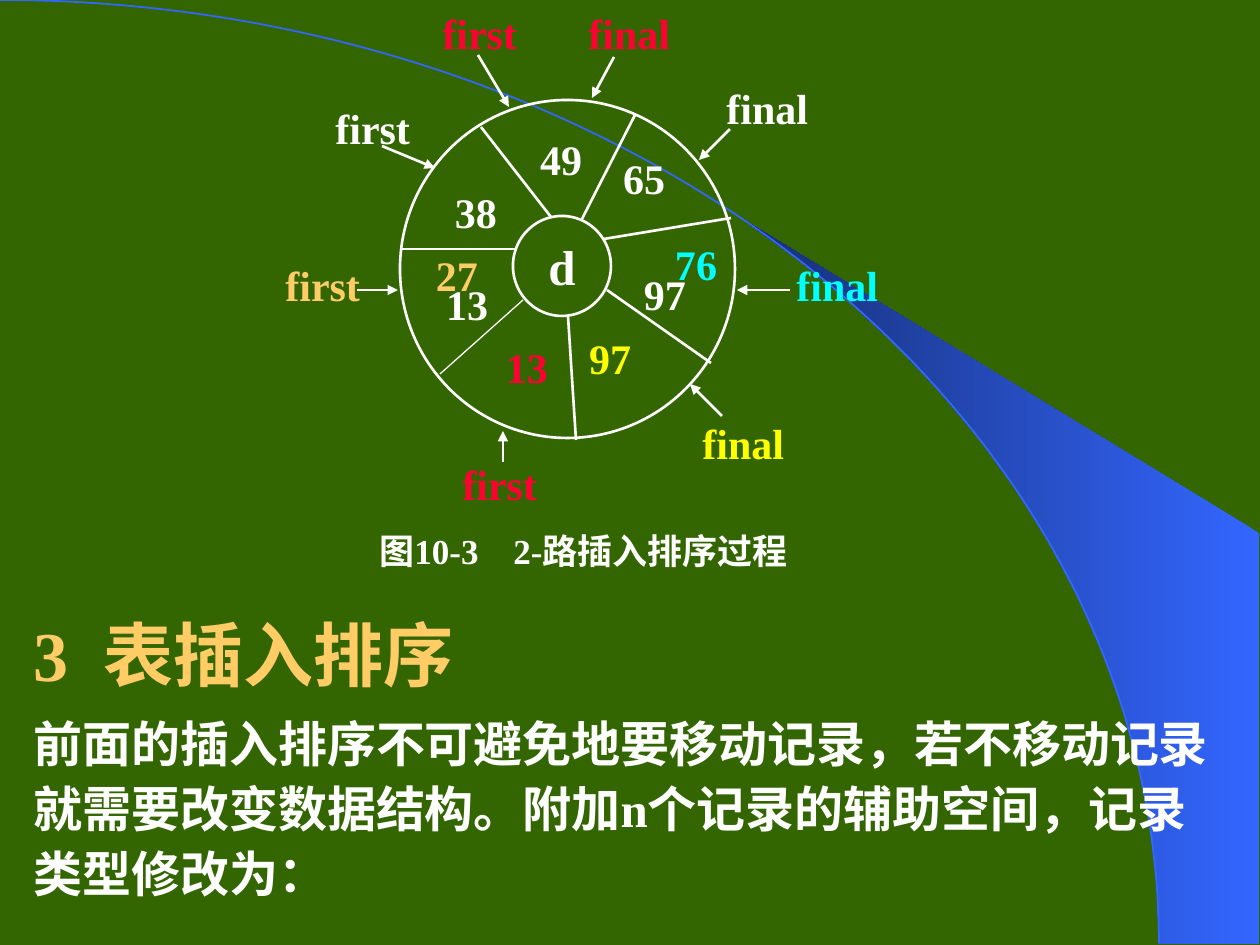
import math
import pptx
import pptx.util
import pptx.dml.color
import pptx.enum.shapes
import pptx.enum.text
import pptx.oxml
import pptx.oxml.ns

SCALE = 914400 / 126
FONT = "Times New Roman"
INK = {
    "green": "336600", "blue": "3366FF", "navy": "172F75", "white": "FFFFFF",
    "gold": "FFCC66", "cyan": "00FFFF", "red": "FF0033", "yellow": "FFFF00",
}
KEYS = [
    ("27", 430, 248, "gold"), ("76", 669, 237, "cyan"), ("49", 534, 132, "white"),
    ("65", 617, 151, "white"), ("38", 449, 185, "white"), ("97", 638, 267, "white"),
    ("97", 583, 331, "yellow"), ("13", 440, 277, "white"), ("13", 500, 340, "red"),
]
MARKS = [
    ("first", 430, 6, "red"), ("first", 323, 101, "white"), ("first", 450, 457, "red"),
    ("first", 273, 258, "gold"), ("final", 784, 258, "cyan"), ("final", 576, 6, "red"),
    ("final", 714, 81, "white"), ("final", 690, 416, "yellow"),
]
SPOKES = [
    (481, 127, 551, 217), (635, 115, 582, 219), (604, 239, 731, 218),
    (607, 290, 711, 363), (568, 316, 576, 440), (517, 249, 402, 249),
]
ARROWS = [
    (478, 55, 509, 107), (614, 57, 592, 98), (382, 146, 435, 168),
    (730, 129, 699, 160), (790, 290, 737, 290), (722, 416, 690, 384),
    (357, 290, 398, 290), (503, 462, 503, 431),
]


def px(num):
    return round(num * SCALE)


def rgb(name):
    return pptx.dml.color.RGBColor.from_string(INK[name])


def add_xml(node, tag, **attrs):
    item = pptx.oxml.parse_xml(f"<a:{tag} {pptx.oxml.ns.nsdecls('a')}/>")
    for key, val in attrs.items():
        item.set(key, str(val))
    node.append(item)
    return item


def add_run(para, text, size, tint):
    run = para.add_run()
    run.text = text
    run.font.name = FONT
    run.font.size = pptx.util.Pt(size)
    run.font.bold = True
    run.font.color.rgb = rgb(tint)
    return run


def add_tab(para, pos):
    tabs = add_xml(para._p.get_or_add_pPr(), "tabLst")
    add_xml(tabs, "tab", pos=px(pos), algn="l")


def center(frame):
    frame.word_wrap = False
    frame.vertical_anchor = pptx.enum.text.MSO_ANCHOR.MIDDLE
    para = frame.paragraphs[0]
    para.alignment = pptx.enum.text.PP_ALIGN.CENTER
    return para


def add_label(slide, text, left, top, width, size, tint, tab=None):
    box = slide.shapes.add_textbox(px(left), px(top), px(width), px(54))
    frame = box.text_frame
    para = center(frame)
    frame.margin_right = 0
    if text.isdigit():
        frame.margin_left = 0
    else:
        para.alignment = pptx.enum.text.PP_ALIGN.LEFT
    if tab:
        add_tab(para, tab)
    add_run(para, text, size, tint)


def add_round(slide, kind, area, tint, width):
    form = slide.shapes.add_shape(kind, *map(px, area))
    form.shadow.inherit = False
    form.fill.background()
    form.line.color.rgb = rgb(tint)
    form.line.width = pptx.util.Pt(width)
    return form


def add_line(slide, ends, width=1.5, arrow=False):
    kind = pptx.enum.shapes.MSO_CONNECTOR.STRAIGHT
    line = slide.shapes.add_connector(kind, *map(px, ends))
    line.line.color.rgb = rgb("white")
    line.line.width = pptx.util.Pt(width)
    if arrow:
        add_xml(line.line._get_or_add_ln(), "tailEnd", type="triangle")
    add_xml(line._element.spPr, "effectLst")


def add_wedge(slide):
    start, steps = math.asin(0.64), 14
    turns = [start + (math.pi / 2 - start) * i / steps for i in range(steps + 1)]
    edge = [(1159 * math.sin(t), 944 * (1 - math.cos(t))) for t in turns]
    spots = [(px(x), px(y)) for x, y in edge + [(1259, 944), (1259, 533)]]
    pen = slide.shapes.build_freeform(*spots[0])
    pen.add_line_segments(spots[1:])
    wedge = pen.convert_to_shape()
    wedge.shadow.inherit = False
    wedge.line.fill.background()
    wedge.fill.gradient()
    wedge.fill.gradient_angle = 180
    for stop, tint in zip(wedge.fill.gradient_stops, ("blue", "navy")):
        stop.color.rgb = rgb(tint)


def add_body(slide):
    body = slide.placeholders[1]
    slide.shapes._spTree.append(body._element)
    body.left, body.top, body.width, body.height = map(px, (21, 597, 1215, 323))
    frame = body.text_frame
    frame.word_wrap = True
    frame.auto_size = pptx.enum.text.MSO_AUTO_SIZE.NONE
    frame.vertical_anchor = pptx.enum.text.MSO_ANCHOR.TOP
    head, text = frame.paragraphs[0], frame.add_paragraph()
    for para, space in ((head, 0), (text, 7)):
        props = para._p.get_or_add_pPr()
        props.set("marL", "0")
        props.set("indent", "0")
        add_xml(props, "buNone")
        para.line_spacing = 1.1
        para.space_before = pptx.util.Pt(space)
    add_run(head, "3", 40, "gold")
    gap = add_run(head, " ", 40, "gold")
    gap.font._element.set("spc", "1000")
    add_run(head, "表插入排序", 40, "gold")
    add_run(text, "前面的插入排序不可避免地要移动记录，若不移动记录就需要改变数据结构。"
            "附加n个记录的辅助空间，记录类型修改为：", 28, "white")


def main():
    deck = pptx.Presentation()
    deck.slide_width, deck.slide_height = px(1260), px(945)
    slide = deck.slides.add_slide(deck.slide_layouts[1])
    title = slide.shapes.title._element
    title.getparent().remove(title)
    slide.background.fill.solid()
    slide.background.fill.fore_color.rgb = rgb("green")
    kinds = pptx.enum.shapes.MSO_SHAPE
    add_wedge(slide)
    add_round(slide, kinds.ARC, (-1159, 0, 2318, 1887), "blue", 1)
    hub = add_round(slide, kinds.OVAL, (513, 216, 98, 100), "white", 1.5)
    add_run(center(hub.text_frame), "d", 28, "white")
    add_round(slide, kinds.OVAL, (400, 100, 335, 338), "white", 1.5)
    for ends in SPOKES:
        add_line(slide, ends)
    add_line(slide, (523, 300, 440, 374), width=0.75)
    for ends in ARROWS:
        add_line(slide, ends, arrow=True)
    for text, left, top, tint in KEYS:
        add_label(slide, text, left, top, 54, 24, tint)
    for text, left, top, tint in MARKS:
        add_label(slide, text, left, top, 96, 24, tint)
    add_label(slide, "图10-3\t2-路插入排序过程", 367, 523, 434, 20, "white", tab=134)
    add_body(slide)
    deck.save("out.pptx")


if __name__ == "__main__":
    main()
